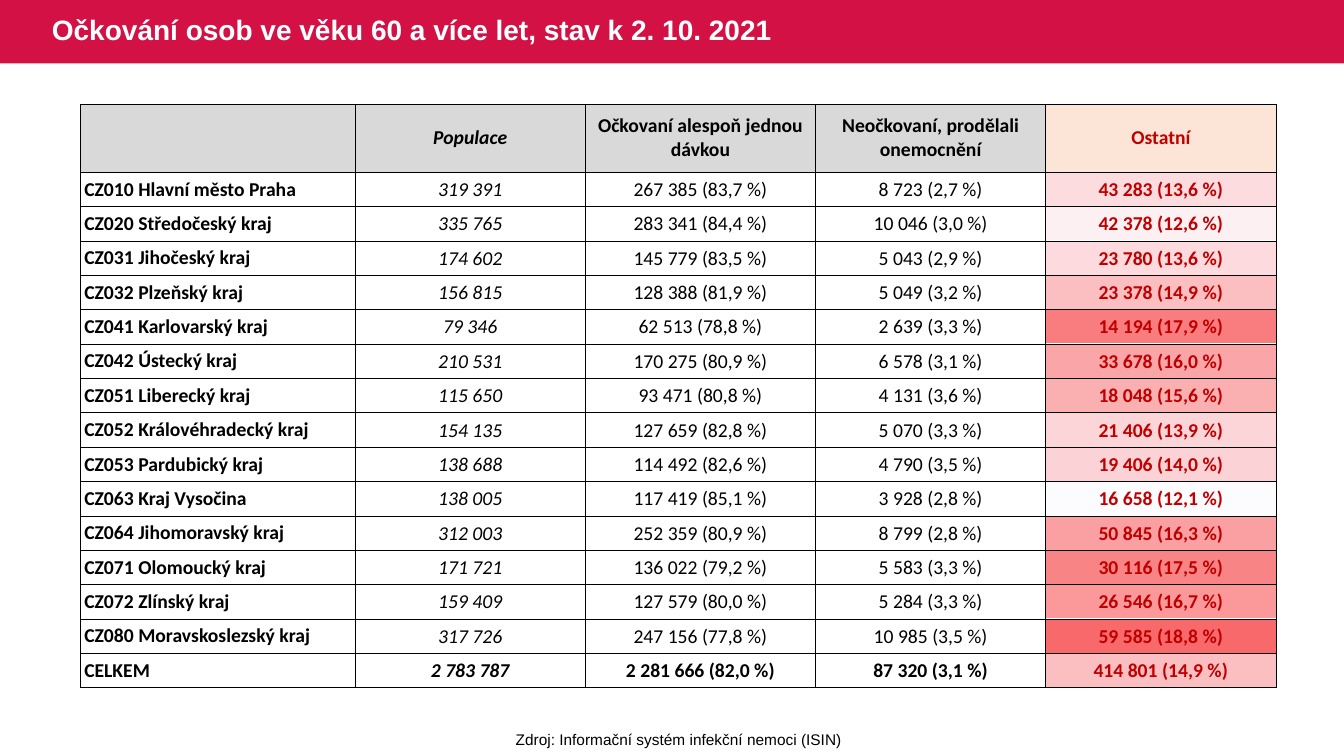
from math import ceil

from lxml.etree import SubElement
from pptx import Presentation
from pptx.dml.color import RGBColor
from pptx.enum.shapes import MSO_SHAPE
from pptx.enum.text import MSO_ANCHOR, PP_ALIGN
from pptx.oxml import parse_xml
from pptx.oxml.ns import nsdecls, qn
from pptx.util import Pt

# Content
TITLE = "Očkování osob ve věku 60 a více let, stav k 2. 10. 2021"
SOURCE = "Zdroj: Informační systém infekční nemoci (ISIN)"
HEADINGS = ["", "Populace", "Očkovaní alespoň jednou dávkou",
            "Neočkovaní, prodělali onemocnění", "Ostatní"]
# Region, population, vaccinated, recovered, others
REGIONS = [
    ("CZ010 Hlavní město Praha", 319391, 267385, 8723, 43283),
    ("CZ020 Středočeský kraj", 335765, 283341, 10046, 42378),
    ("CZ031 Jihočeský kraj", 174602, 145779, 5043, 23780),
    ("CZ032 Plzeňský kraj", 156815, 128388, 5049, 23378),
    ("CZ041 Karlovarský kraj", 79346, 62513, 2639, 14194),
    ("CZ042 Ústecký kraj", 210531, 170275, 6578, 33678),
    ("CZ051 Liberecký kraj", 115650, 93471, 4131, 18048),
    ("CZ052 Královéhradecký kraj", 154135, 127659, 5070, 21406),
    ("CZ053 Pardubický kraj", 138688, 114492, 4790, 19406),
    ("CZ063 Kraj Vysočina", 138005, 117419, 3928, 16658),
    ("CZ064 Jihomoravský kraj", 312003, 252359, 8799, 50845),
    ("CZ071 Olomoucký kraj", 171721, 136022, 5583, 30116),
    ("CZ072 Zlínský kraj", 159409, 127579, 5284, 26546),
    ("CZ080 Moravskoslezský kraj", 317726, 247156, 10985, 59585),
    ("CELKEM", 2783787, 2281666, 87320, 414801),
]

# Format values
BLACK, WHITE, CRIMSON, DARK_RED = "000000", "FFFFFF", "D31145", "C00000"
GREY, PEACH = "D9D9D9", "FCE4D6"
HEAT_LOW, HEAT_HIGH = (252, 252, 255), (248, 105, 107)
SLIDE_WIDTH, SLIDE_HEIGHT, BANNER_HEIGHT = 960, 540, 45.2
TABLE_LEFT, TABLE_TOP = 57.5, 74.4
COLUMN_WIDTHS = [196.2] + [164.46] * 4
HEADING_HEIGHT, ROW_HEIGHT = 48.6, 24.55
LABEL_MARGINS = {"margin_left": Pt(2.7), "margin_right": Pt(2.7),
                 "margin_top": 0, "margin_bottom": 0}
NUMBER_MARGINS = {"margin_left": Pt(0.6), "margin_right": Pt(0.6),
                  "margin_top": Pt(0.6), "margin_bottom": 0}


def rgb(code):
    return RGBColor.from_string(code)


def apply(target, values):
    for name, value in values.items():
        setattr(target, name, value)


def write(frame, words, colour, align, **font_values):
    paragraph = frame.paragraphs[0]
    paragraph.alignment = align
    if words:
        run = paragraph.add_run()
        run.text = words
        apply(run.font, font_values)
        run.font.color.rgb = rgb(colour)
    return paragraph


def grouped(count):
    return f"{count:,}".replace(",", " ")


def with_share(count, population):
    share = f"{100 * count / population:.1f}".replace(".", ",")
    return f"{grouped(count)} ({share} %)"


def heat(share, lowest, highest):
    position = (share - lowest) / (highest - lowest)
    return "".join(f"{ceil(low + (high - low) * position):02X}"
                   for low, high in zip(HEAT_LOW, HEAT_HIGH))


def paint(cell, fill):
    if fill:
        cell.fill.solid()
        cell.fill.fore_color.rgb = rgb(fill)
    else:
        cell.fill.background()


def add_borders(cell):
    properties = cell._tc.get_or_add_tcPr()
    for order, side in enumerate(("lnL", "lnR", "lnT", "lnB")):
        border = parse_xml(f'<a:{side} {nsdecls("a")} w="6350"/>')
        fill = SubElement(border, qn("a:solidFill"))
        SubElement(fill, qn("a:srgbClr"), val=BLACK)
        properties.insert(order, border)


def fill_cell(cell, words, fill, margins, colour, align, bold, italic):
    apply(cell, {**margins, "vertical_anchor": MSO_ANCHOR.MIDDLE})
    paint(cell, fill)
    write(cell.text_frame, words, colour, align,
          name="Calibri", size=Pt(14), bold=bold, italic=italic)
    add_borders(cell)


def add_text(slide, left, top, width, height, wrap, anchor):
    frame = slide.shapes.add_textbox(Pt(left), Pt(top), Pt(width), Pt(height)).text_frame
    apply(frame, {"word_wrap": wrap, "vertical_anchor": anchor})
    return frame


def add_grid(slide, left, top, widths, heights):
    table = slide.shapes.add_table(len(heights), len(widths), Pt(left), Pt(top),
                                   Pt(sum(widths)), Pt(sum(heights))).table
    apply(table, {"first_row": False, "horz_banding": False})
    for column, width in zip(table.columns, widths):
        column.width = Pt(width)
    for row, height in zip(table.rows, heights):
        row.height = Pt(height)
    return table


def add_banner(slide):
    banner = slide.shapes.add_shape(MSO_SHAPE.RECTANGLE, 0, 0,
                                    Pt(SLIDE_WIDTH), Pt(BANNER_HEIGHT))
    banner.shadow.inherit = False
    banner.fill.solid()
    banner.fill.fore_color.rgb = rgb(CRIMSON)
    banner.line.fill.background()


def add_title(slide):
    frame = add_text(slide, 30, 0, 596, BANNER_HEIGHT, True, MSO_ANCHOR.MIDDLE)
    heading = write(frame, TITLE, WHITE, PP_ALIGN.LEFT,
                    name="Arial", size=Pt(20), bold=True)
    heading.line_spacing = 0.9


def add_heat_scale(slide):
    shares = [region[-1] / region[1] for region in REGIONS]
    scale = add_grid(slide, TABLE_LEFT + sum(COLUMN_WIDTHS[:-1]),
                     TABLE_TOP + HEADING_HEIGHT, COLUMN_WIDTHS[-1:],
                     [ROW_HEIGHT] * len(REGIONS))
    for line, share in enumerate(shares):
        cell = scale.cell(line, 0)
        apply(cell, LABEL_MARGINS)
        cell.text_frame.paragraphs[0].font.size = Pt(14)
        paint(cell, heat(share, min(shares), max(shares)))


def add_regions(slide):
    table = add_grid(slide, TABLE_LEFT, TABLE_TOP, COLUMN_WIDTHS,
                     [HEADING_HEIGHT] + [ROW_HEIGHT] * len(REGIONS))
    last = len(HEADINGS) - 1
    # Heading row
    for index, heading in enumerate(HEADINGS):
        fill, colour = (PEACH, DARK_RED) if index == last else (GREY, BLACK)
        fill_cell(table.cell(0, index), heading, fill, LABEL_MARGINS, colour,
                  PP_ALIGN.CENTER, True, index == 1)

    # Region rows, clear so that the heat scale shows through
    for line, (name, population, *groups) in enumerate(REGIONS, 1):
        entries = [name, grouped(population)]
        entries += [with_share(group, population) for group in groups]
        total = line == len(REGIONS)
        for index, entry in enumerate(entries):
            label, other = index == 0, index == last
            fill_cell(table.cell(line, index), entry, None,
                      LABEL_MARGINS if label else NUMBER_MARGINS,
                      DARK_RED if other else BLACK,
                      PP_ALIGN.LEFT if label else PP_ALIGN.CENTER,
                      label or other or total, index == 1)


def main():
    deck = Presentation()
    apply(deck, {"slide_width": Pt(SLIDE_WIDTH), "slide_height": Pt(SLIDE_HEIGHT)})
    slide = deck.slides.add_slide(deck.slide_layouts[6])
    add_banner(slide)
    add_heat_scale(slide)
    add_title(slide)
    add_regions(slide)
    # Source line
    frame = add_text(slide, 360.7, 517.7, 248.4, 20.6, False, MSO_ANCHOR.TOP)
    write(frame, SOURCE, BLACK, PP_ALIGN.CENTER, name="Arial", size=Pt(11))
    deck.save("out.pptx")


if __name__ == "__main__":
    main()
